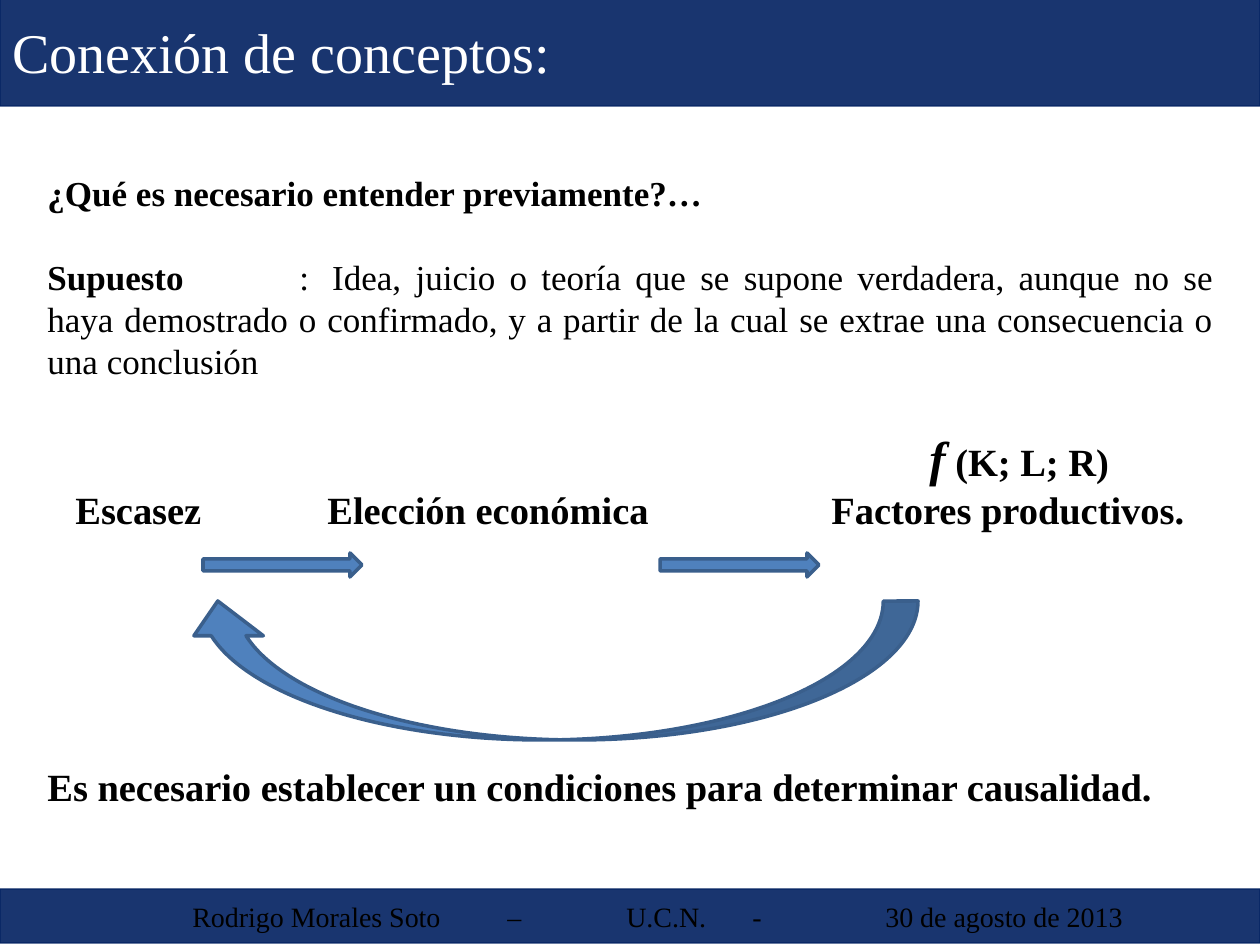
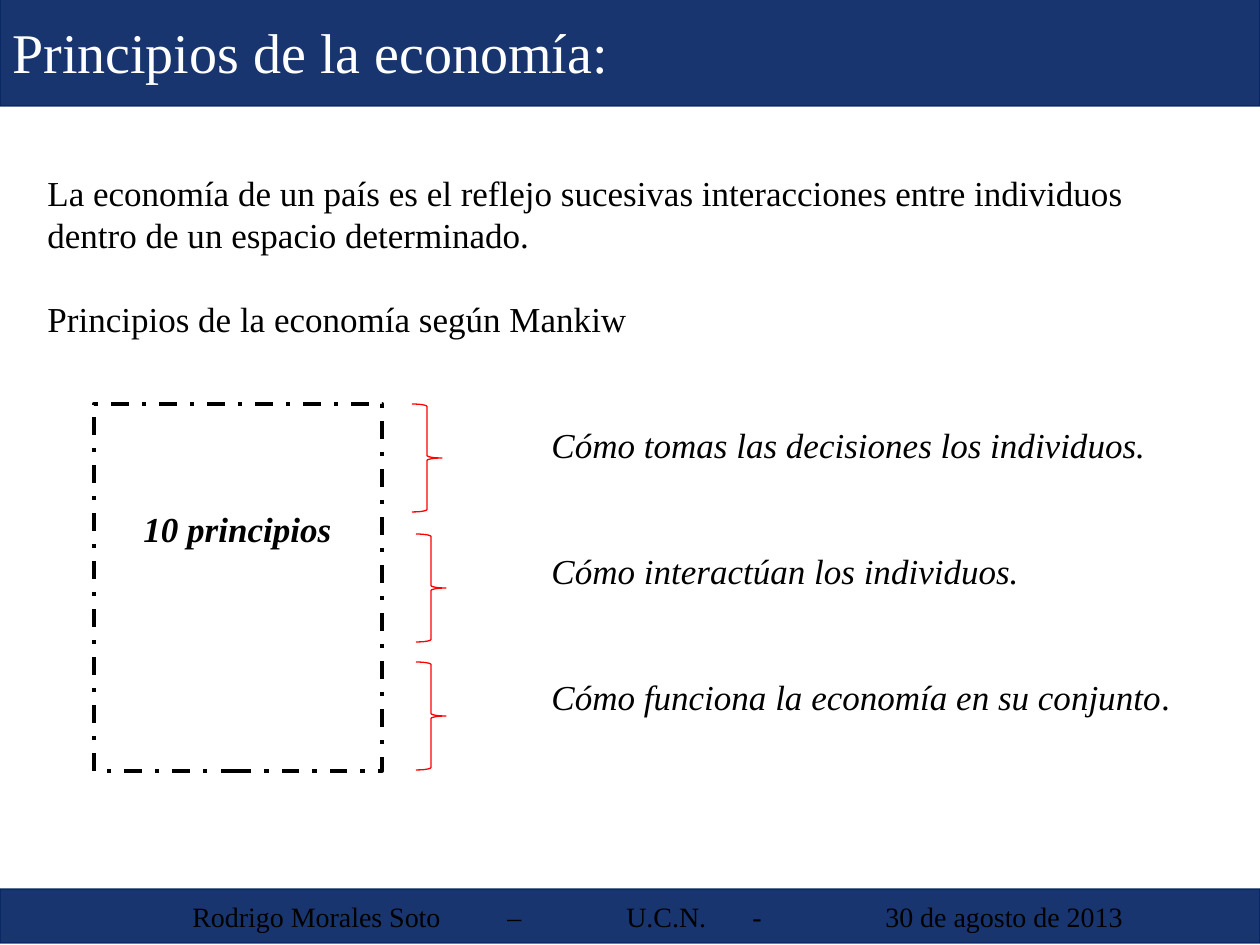
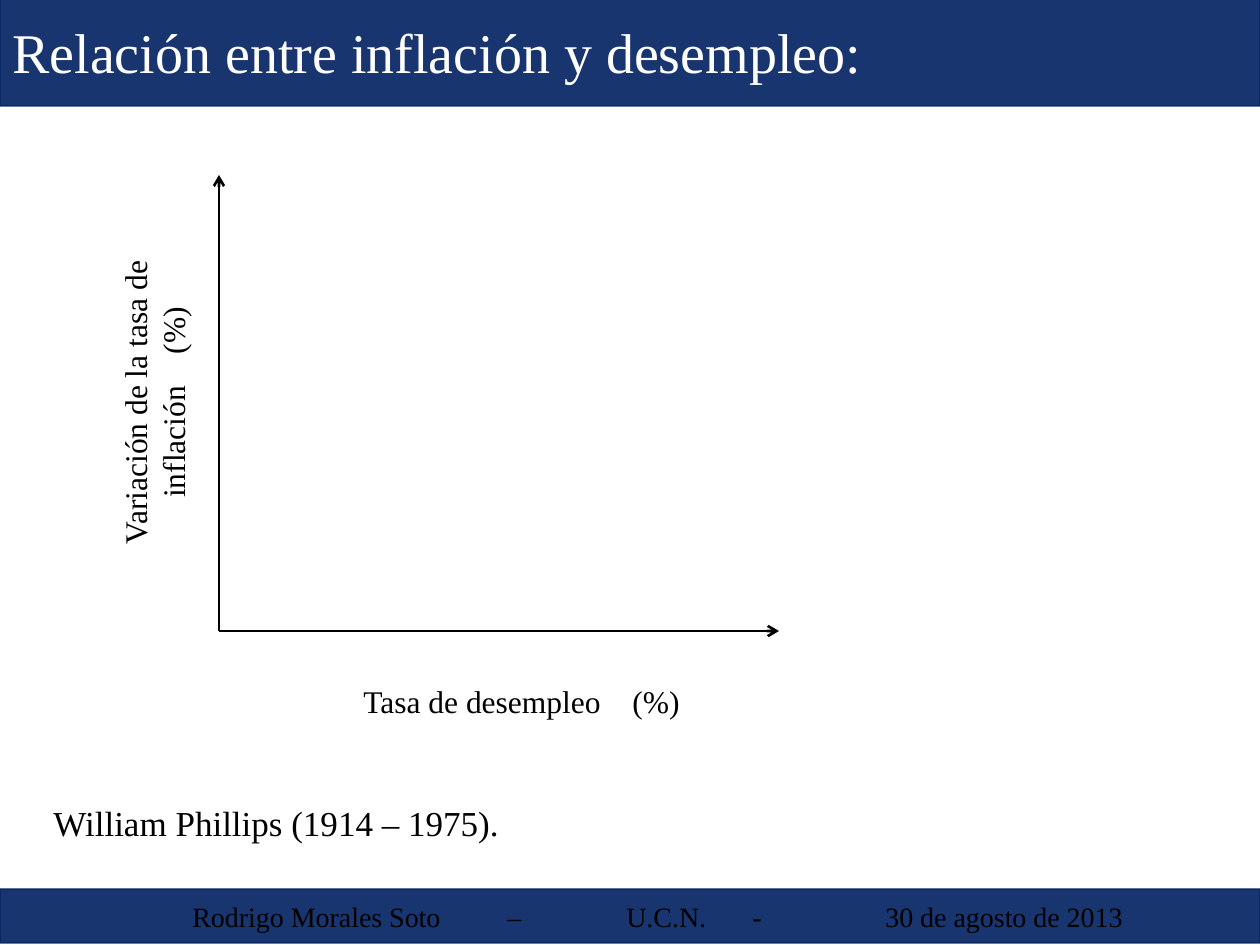
from lxml import etree
from pptx import Presentation
from pptx import util as u
from pptx.dml.color import RGBColor
from pptx.enum import dml, shapes, text
from pptx.oxml.ns import qn

COLORS = {"band": "002060", "title": "FFFFFF", "ink": "000000",
          "arrow": "4F81BD", "arrow_edge": "3A5F8C", "brace": "FF0000"}
FONT = "Times New Roman"
KIND = shapes.MSO_SHAPE
ALIGN = text.PP_ALIGN
BAND_OPACITY = 90


def px(length):
    return u.Emu(round(length * 914400 / 126))


def rgb(name):
    return RGBColor.from_string(COLORS[name])


def set_opacity(fill_owner, percent):
    for color in fill_owner.iter(qn("a:srgbClr")):
        etree.SubElement(color, qn("a:alpha")).set("val", str(percent * 1000))


def write(frame, content, size=20, color="ink", bold=False, italic=False,
          align=ALIGN.LEFT, before=0, indent=0, tabs=()):
    started = frame.paragraphs[0].runs
    paragraph = frame.add_paragraph() if started else frame.paragraphs[0]
    paragraph.alignment = align
    paragraph.space_before = u.Pt(before)
    properties = paragraph._p.get_or_add_pPr()
    if indent:
        properties.set("marL", str(px(indent)))
        properties.set("indent", "0")
    if tabs:
        stops = etree.SubElement(properties, qn("a:tabLst"))
        for position in tabs:
            etree.SubElement(stops, qn("a:tab"), pos=str(px(position)), algn="l")
    pieces = [(content, {})] if isinstance(content, str) else content
    for words, changes in pieces:
        run = paragraph.add_run()
        run.text = words
        run.font.name = FONT
        run.font.size = u.Pt(changes.get("size", size))
        run.font.bold = changes.get("bold", bold)
        run.font.italic = changes.get("italic", italic)
        run.font.color.rgb = rgb(color)
        if "tracking" in changes:
            run._r.get_or_add_rPr().set("spc", str(round(changes["tracking"] * 100)))


class Deck:
    def __init__(self):
        self.presentation = Presentation()
        self.presentation.slide_width = px(1260)
        self.presentation.slide_height = px(945)
        self.slide = None

    def start(self, title):
        layout = self.presentation.slide_layouts[6]
        self.slide = self.presentation.slides.add_slide(layout)
        footer = self.band(889, 54)
        write(footer, "\tRodrigo Morales Soto\t–\tU.C.N.\t-\t30 de agosto de 2013",
              size=16, tabs=(180, 495, 614, 740, 873))
        write(self.band(-3, 109), title, size=32, color="title", align=ALIGN.JUSTIFY)

    def band(self, top, height):
        band = self.shape(KIND.RECTANGLE, 0, top, 1260, height,
                          fill="band", line="band", weight=0.75)
        set_opacity(band._element.spPr, BAND_OPACITY)
        band.text_frame.vertical_anchor = text.MSO_ANCHOR.MIDDLE
        return band.text_frame

    def shape(self, kind, left, top, width, height, fill=None, line="ink",
              weight=2, dash=None, rotation=0):
        shape = self.slide.shapes.add_shape(kind, px(left), px(top), px(width), px(height))
        shape.shadow.inherit = False
        shape.rotation = rotation
        if fill:
            shape.fill.solid()
            shape.fill.fore_color.rgb = rgb(fill)
        else:
            shape.fill.background()
        shape.line.color.rgb = rgb(line)
        shape.line.width = u.Pt(weight)
        if dash:
            shape.line.dash_style = dash
        return shape

    def textbox(self, left, top, width, height, rotation=0, anchor=text.MSO_ANCHOR.TOP):
        box = self.slide.shapes.add_textbox(px(left), px(top), px(width), px(height))
        box.rotation = rotation
        box.text_frame.word_wrap = True
        box.text_frame.vertical_anchor = anchor
        return box.text_frame

    def axis(self, start, end):
        axis = self.slide.shapes.add_connector(
            shapes.MSO_CONNECTOR.STRAIGHT, *(px(value) for value in start + end))
        axis.line.color.rgb = rgb("ink")
        axis.line.width = u.Pt(1.5)
        etree.SubElement(axis.line._get_or_add_ln(), qn("a:tailEnd"), type="arrow")
        etree.SubElement(axis._element.spPr, qn("a:effectLst"))

    def axis_label(self, measure, unit, left, top, rotation=0):
        label = self.textbox(left, top, 357, 79, rotation, text.MSO_ANCHOR.MIDDLE)
        write(label, [(measure, {}), (" ", {"tracking": 13.5}), (unit, {})],
              size=18, align=ALIGN.CENTER)


def concepts(deck):
    deck.start("Conexión de conceptos:")
    body = deck.textbox(35, 165, 1191, 658)
    write(body, "¿Qué es necesario entender previamente?…", bold=True, align=ALIGN.JUSTIFY)
    write(body, [("Supuesto", {"bold": True}),
                 ("\t: \u00a0Idea, juicio o teoría que se supone verdadera, aunque no se haya "
                  "demostrado o confirmado, y a partir de la cual se extrae una "
                  "consecuencia o una conclusión", {})],
          align=ALIGN.JUSTIFY, before=24, tabs=(252,))
    write(body, [("f", {"size": 28, "italic": True}), (" (K; L; R)", {})],
          size=22, bold=True, before=26.4, indent=882)
    write(body, "\tEscasez\tElección económica\tFactores productivos.",
          size=22, bold=True, tabs=(28, 280, 784))
    write(body, "Es necesario establecer un condiciones para determinar causalidad.",
          size=22, bold=True, align=ALIGN.JUSTIFY, before=132)
    arrow_style = {"fill": "arrow", "line": "arrow_edge"}
    for left in (203, 660):
        deck.shape(KIND.RIGHT_ARROW, left, 553, 159, 24, **arrow_style)
    deck.shape(KIND.CURVED_DOWN_ARROW, 183, 601, 735, 139, rotation=180, **arrow_style)


def principles(deck):
    deck.start("Principios de la economía:")
    body = deck.textbox(35, 165, 1191, 606)
    write(body, "La economía de un país es el reflejo sucesivas interacciones entre "
                "individuos dentro de un espacio determinado.")
    write(body, "Principios de la economía según Mankiw", before=24)
    write(body, "Cómo tomas las decisiones los individuos.", italic=True, before=48, indent=504)
    write(body, "10 principios", bold=True, italic=True, before=24, indent=96)
    write(body, "Cómo interactúan los individuos.", italic=True, indent=504)
    write(body, [("Cómo funciona la economía en su conjunto", {"italic": True}), (".", {})],
          before=48, indent=504)
    deck.shape(KIND.RECTANGLE, 94, 404, 288, 367, weight=2.5, dash=dml.MSO_LINE.DASH_DOT)
    for left, top in ((412, 404), (416, 534), (416, 662)):
        deck.shape(KIND.RIGHT_BRACE, left, top, 30, 108, line="brace", weight=0.75)


def phillips(deck):
    deck.start("Relación entre inflación y desempleo:")
    author = deck.textbox(41, 795, 1191, 62)
    write(author, "William Phillips (1914 – 1975).", align=ALIGN.JUSTIFY)
    origin = (219, 631)
    deck.axis(origin, (219, 175))
    deck.axis(origin, (779, 631))
    deck.axis_label("Tasa de desempleo", "(%)", 343, 661)
    deck.axis_label("Variación de la tasa de inflación", "(%)", -25, 363, rotation=270)


def main():
    deck = Deck()
    for build in (concepts, principles, phillips):
        build(deck)
    deck.presentation.save("out.pptx")


if __name__ == "__main__":
    main()
